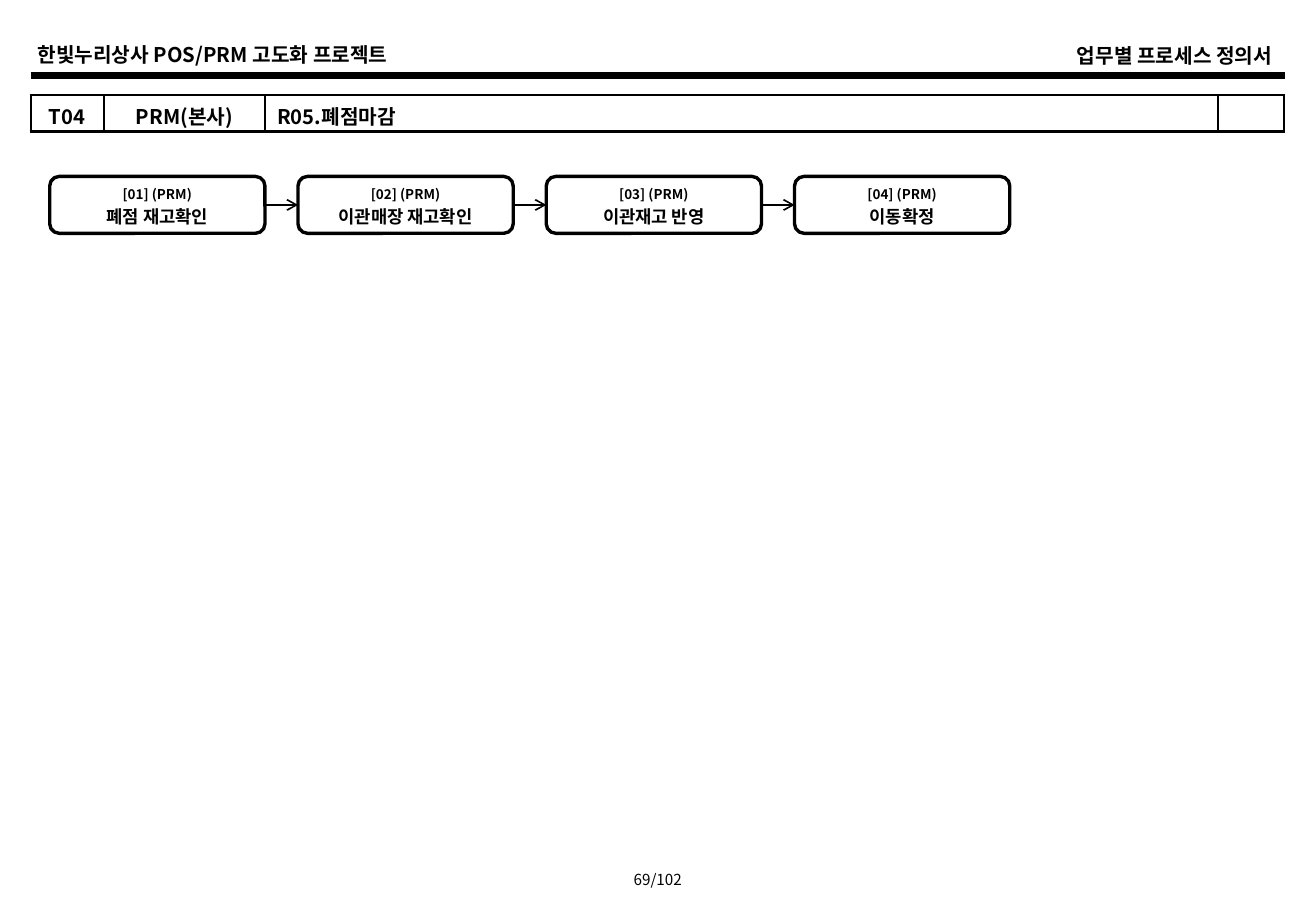
from lxml import etree
from pptx import Presentation
from pptx.dml.color import RGBColor
from pptx.enum.shapes import MSO_CONNECTOR as Line, MSO_SHAPE as Shape
from pptx.enum.text import MSO_ANCHOR as Anchor, PP_ALIGN as Align
from pptx.oxml.ns import qn
from pptx.util import Cm, Pt

# Content
PROJECT = "한빛누리상사 POS/PRM 고도화 프로젝트"
DOCUMENT = "업무별 프로세스 정의서"
PAGE_NUMBER = "69/102"
HEADING = [  # text, column width in cm, alignment
    ("T04", 1.53, Align.CENTER),
    ("PRM(본사)", 3.37, Align.CENTER),
    ("R05.폐점마감", 19.92, Align.LEFT),
    ("", 1.39, Align.CENTER),
]
STEPS = ["폐점 재고확인", "이관매장 재고확인", "이관재고 반영", "이동확정"]

# Style and geometry (cm)
FONT = "Noto Sans CJK KR"
COLORS = {"ink": "000000", "paper": "FFFFFF"}
MARGIN, RULE_Y, RULE_RIGHT = 0.64, 1.58, 26.87
TABLE_TOP, TABLE_HEIGHT = 1.99, 0.76
STEP_LEFT, STEP_TOP, STEP_WIDTH, STEP_HEIGHT = 1.04, 3.69, 4.5, 1.19
STEP_PITCH = 5.19


def color(name):
    return RGBColor.from_string(COLORS[name])


def style(para, size, bold=True, align=Align.CENTER):
    para.alignment = align
    for span in para.runs:
        span.font.name, span.font.size, span.font.bold = FONT, Pt(size), bold
        span.font.color.rgb = color("ink")
        east_asian = etree.SubElement(span._r.get_or_add_rPr(), qn("a:ea"))
        east_asian.set("typeface", FONT)


def write_label(box, text, left, top, width, height, size, bold, align):
    box.left, box.top, box.width, box.height = map(Cm, (left, top, width, height))
    frame = box.text_frame
    frame.text, frame.word_wrap, frame.vertical_anchor = text, True, Anchor.MIDDLE
    frame.margin_top = frame.margin_bottom = 0
    style(frame.paragraphs[0], size, bold, align)


def add_line(page, x1, y1, x2, y2, weight, arrow=False):
    line = page.shapes.add_connector(Line.STRAIGHT, Cm(x1), Cm(y1), Cm(x2), Cm(y2))
    line.line.color.rgb, line.line.width = color("ink"), Pt(weight)
    if arrow:
        etree.SubElement(line.line._get_or_add_ln(), qn("a:tailEnd")).set("type", "arrow")
    etree.SubElement(line._element.spPr, qn("a:effectLst"))


def add_borders(cell, weight):
    properties = cell._tc.get_or_add_tcPr()
    for position, side in enumerate(("lnL", "lnR", "lnT", "lnB")):
        border = etree.Element(qn(f"a:{side}"), w=str(Pt(weight)))
        fill = etree.SubElement(border, qn("a:solidFill"))
        etree.SubElement(fill, qn("a:srgbClr"), val=COLORS["ink"])
        properties.insert(position, border)


deck = Presentation()
deck.slide_width, deck.slide_height = Cm(27.51), Cm(19.05)
page = deck.slides.add_slide(deck.slide_layouts[5])

# Header and page number
write_label(page.shapes.title, PROJECT, 0.53, 0.76, 10.54, 0.76, 12, True, Align.LEFT)
for text, *layout in [
    (DOCUMENT, 16.31, 0.79, 10.54, 0.76, 12, True, Align.RIGHT),
    (PAGE_NUMBER, 12.57, 18.08, 2.36, 0.64, 9, False, Align.CENTER),
]:
    write_label(page.shapes.add_textbox(0, 0, 0, 0), text, *layout)
add_line(page, MARGIN, RULE_Y, RULE_RIGHT, RULE_Y, 4.5)

# Heading table
table_width = sum(width for _, width, _ in HEADING)
table = page.shapes.add_table(1, len(HEADING), Cm(MARGIN), Cm(TABLE_TOP),
                              Cm(table_width), Cm(TABLE_HEIGHT)).table
table.first_row = table.horz_banding = False
for index, (text, width, align) in enumerate(HEADING):
    table.columns[index].width = Cm(width)
    cell = table.cell(0, index)
    cell.text = text
    cell.margin_top, cell.margin_bottom = Cm(0.12), 0
    cell.fill.solid()
    cell.fill.fore_color.rgb = color("paper")
    add_borders(cell, 1.5)
    para = cell.text_frame.paragraphs[0]
    style(para, 12, align=align)
    if not text:  # keeps the empty cell from stretching the row
        etree.SubElement(para._p, qn("a:endParaRPr"), sz="1200")

# Process steps, joined by arrows
for index, name in enumerate(STEPS):
    left = STEP_LEFT + index * STEP_PITCH
    box = page.shapes.add_shape(Shape.ROUNDED_RECTANGLE, Cm(left), Cm(STEP_TOP),
                                Cm(STEP_WIDTH), Cm(STEP_HEIGHT))
    box.shadow.inherit = False
    box.fill.solid()
    box.fill.fore_color.rgb = color("paper")
    box.line.color.rgb, box.line.width = color("ink"), Pt(2)
    frame = box.text_frame
    frame.margin_left = frame.margin_right = Cm(0.1)
    frame.margin_top = frame.margin_bottom = Cm(0.1)
    frame.vertical_anchor, frame.word_wrap = Anchor.MIDDLE, True
    frame.text = f"[{index + 1:02}] (PRM)\n{name}"
    for para, size in zip(frame.paragraphs, (8, 10.5)):
        style(para, size)
        para.line_spacing = 1.2
    if index:
        middle = STEP_TOP + STEP_HEIGHT / 2
        add_line(page, left - STEP_PITCH + STEP_WIDTH, middle, left, middle, 1, arrow=True)

deck.save("out.pptx")
